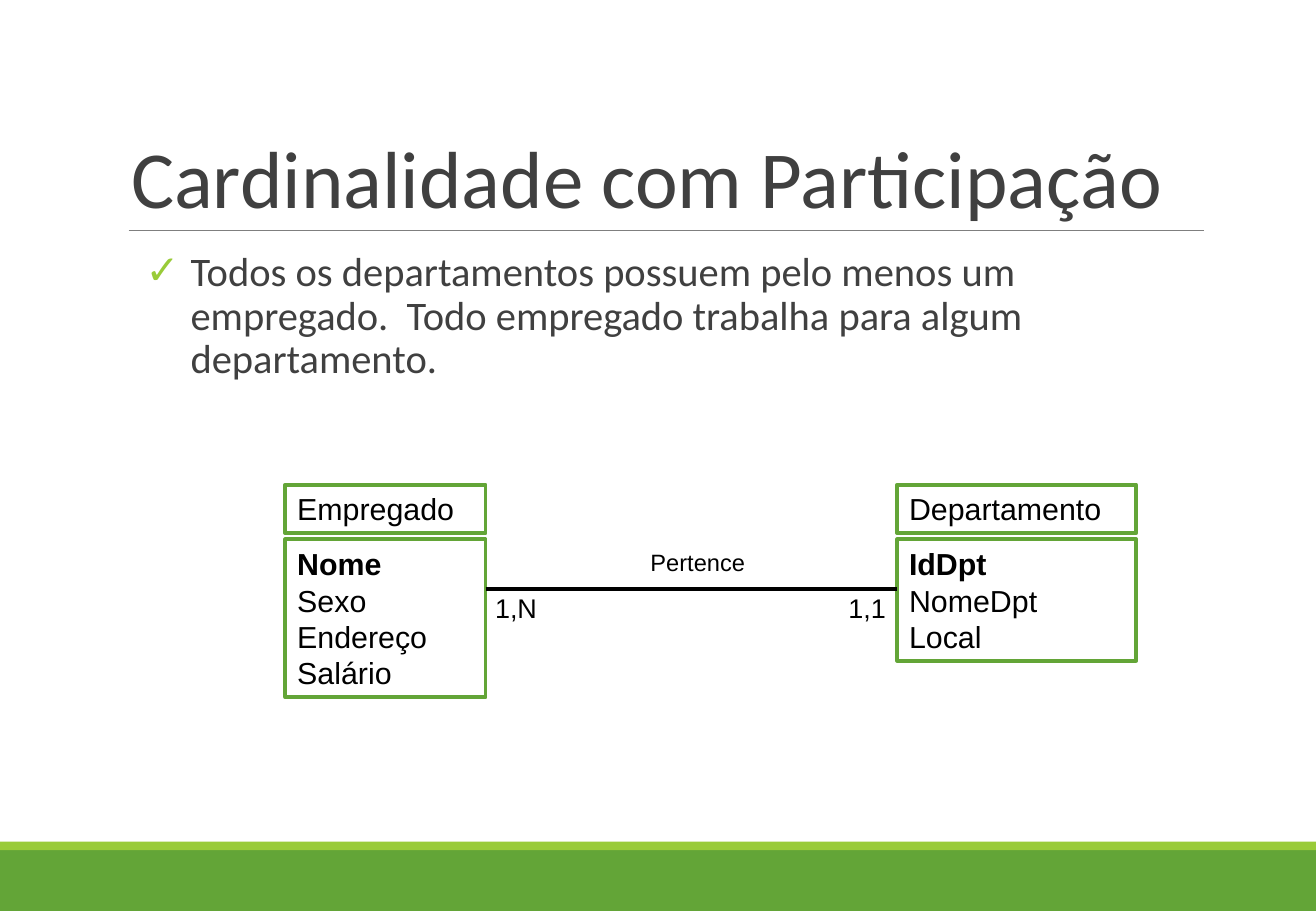
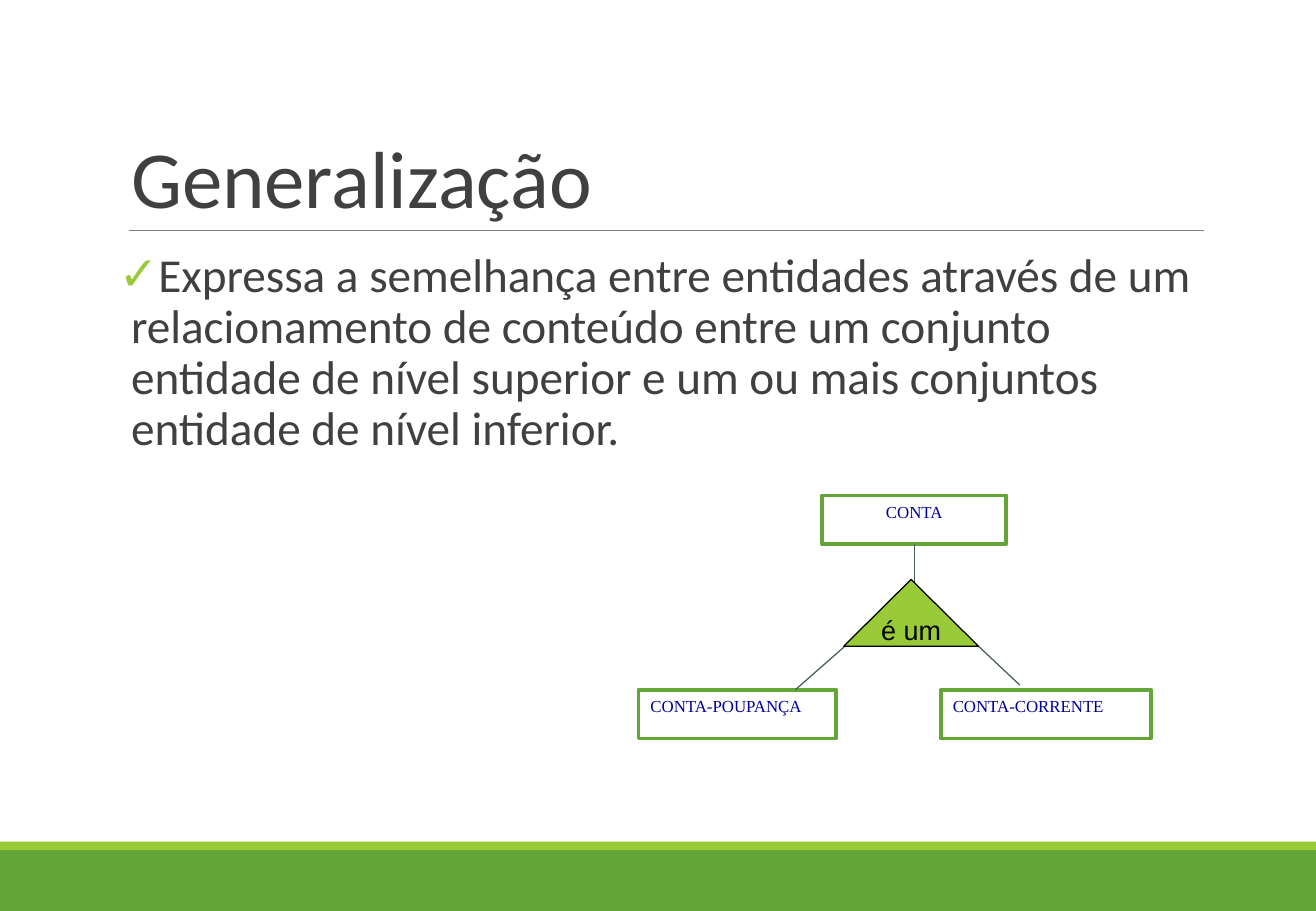
from dataclasses import dataclass

from lxml.etree import SubElement
from pptx import Presentation
from pptx.dml.color import RGBColor
from pptx.enum.shapes import MSO_CONNECTOR, MSO_SHAPE
from pptx.enum.text import MSO_ANCHOR, MSO_AUTO_SIZE, PP_ALIGN
from pptx.oxml.ns import qn
from pptx.util import Inches, Pt


@dataclass(frozen=True)
class Theme:
    green: str = "63A537"
    lime: str = "99CB38"
    ink: str = "404040"
    black: str = "000000"
    navy: str = "000099"
    slate: str = "455F51"
    grey: str = "7F7F7F"
    heading_font: str = "Calibri"
    diagram_font: str = "Arial"
    account_font: str = "Times New Roman"
    title_size: float = 48
    entity_size: float = 18
    label_size: float = 16
    relation_size: float = 14
    account_size: float = 10
    frame_line: float = 2.25
    thin_line: float = 0.75
    rule_line: float = 0.5


THEME = Theme()
SLIDE_WIDTH, SLIDE_HEIGHT = 10.84, 7.5
ROW_HEIGHT, BOX_PADDING = 0.3, 0.1
BOX_HEIGHT = ROW_HEIGHT + BOX_PADDING


def color(value):
    return RGBColor.from_string(value)


def write(frame, *lines, size, font=THEME.diagram_font, ink=THEME.black,
          align=PP_ALIGN.LEFT, anchor=MSO_ANCHOR.TOP, wrap=True,
          spacing=None, bold_lines=0):
    frame.word_wrap = wrap
    frame.auto_size = MSO_AUTO_SIZE.NONE
    frame.vertical_anchor = anchor
    for index, line in enumerate(lines):
        para = frame.add_paragraph() if index else frame.paragraphs[0]
        para.alignment = align
        para.space_before = Pt(0)
        if spacing:
            para.line_spacing = spacing
        span = para.add_run()
        span.text = line
        span.font.size = Pt(size)
        span.font.name = font
        span.font.bold = index < bold_lines
        span.font.color.rgb = color(ink)


def add_bullet(para, margin, hanging):
    properties = para._p.get_or_add_pPr()
    properties.set("marL", str(Inches(margin)))
    properties.set("indent", str(-Inches(hanging)))
    tint = SubElement(properties, qn("a:buClr"))
    SubElement(tint, qn("a:srgbClr"), val=THEME.lime)
    SubElement(properties, qn("a:buChar"), char="✓")


def place(item, left, top, width, height):
    item.left, item.top = Inches(left), Inches(top)
    item.width, item.height = Inches(width), Inches(height)


def add_shape(page, kind, left, top, width, height, fill=None, line=None,
              weight=THEME.frame_line):
    shape = page.shapes.add_shape(
        kind, Inches(left), Inches(top), Inches(width), Inches(height))
    shape.shadow.inherit = False
    if fill:
        shape.fill.solid()
        shape.fill.fore_color.rgb = color(fill)
    else:
        shape.fill.background()
    if line:
        shape.line.color.rgb = color(line)
        shape.line.width = Pt(weight)
    else:
        shape.line.fill.background()
    return shape


def add_line(page, start, end, ink, weight):
    line = page.shapes.add_connector(
        MSO_CONNECTOR.STRAIGHT, *(Inches(value) for value in (*start, *end)))
    line.line.color.rgb = color(ink)
    line.line.width = Pt(weight)
    SubElement(line._element.spPr, qn("a:effectLst"))
    return line


def add_box(page, left, top, width, *lines, **text_format):
    height = BOX_PADDING + ROW_HEIGHT * len(lines)
    box = add_shape(page, MSO_SHAPE.RECTANGLE, left, top, width, height,
                    line=THEME.green)
    write(box.text_frame, *lines, **text_format)


def add_label(page, text, left, top, width, height, size):
    label = page.shapes.add_textbox(
        Inches(left), Inches(top), Inches(width), Inches(height))
    write(label.text_frame, text, size=size, wrap=False)


def add_entity(page, name, attributes, left, width):
    add_box(page, left, 3.99, width, name, size=THEME.entity_size)
    add_box(page, left, 4.44, width, *attributes, size=THEME.entity_size,
            bold_lines=1)


def add_page(deck, title, body, size, margin, hanging, level=0):
    page = deck.slides.add_slide(deck.slide_layouts[1])
    write(page.shapes.title.text_frame, title, size=THEME.title_size,
          font=THEME.heading_font, ink=THEME.ink, anchor=MSO_ANCHOR.BOTTOM,
          spacing=0.85)
    frame = page.placeholders[1].text_frame
    frame.margin_left = frame.margin_right = 0
    para = frame.paragraphs[0]
    para.level = level
    add_bullet(para, margin, hanging)
    write(frame, body, size=size, font=THEME.heading_font, ink=THEME.ink,
          spacing=0.9)
    return page


def dress_layout(layout, page):
    place(layout.placeholders[0], 0.98, 0.31, 9.72, 1.59)
    place(layout.placeholders[1], 0.98, 2.02, 8.94, 4.4)
    decorations = (
        add_shape(page, MSO_SHAPE.RECTANGLE, 0, 7, SLIDE_WIDTH, 0.5,
                  fill=THEME.green),
        add_shape(page, MSO_SHAPE.RECTANGLE, 0, 6.93, SLIDE_WIDTH, 0.07,
                  fill=THEME.lime),
        add_line(page, (1.06, 1.9), (9.92, 1.9), THEME.grey, THEME.rule_line),
    )
    for item in decorations:
        layout.shapes._spTree.append(item._element)


def build_cardinality(deck):
    page = add_page(
        deck, "Cardinalidade com Participação",
        "Todos os departamentos possuem pelo menos um empregado.  "
        "Todo empregado trabalha para algum departamento.",
        size=24, margin=0.59, hanging=0.37, level=1)
    add_entity(page, "Departamento", ("IdDpt", "NomeDpt", "Local"), 7.39, 1.97)
    add_entity(page, "Empregado", ("Nome", "Sexo", "Endereço", "Salário"),
               2.35, 1.65)
    add_line(page, (4, 4.85), (7.39, 4.85), THEME.black, THEME.frame_line)
    add_label(page, "Pertence", 5.26, 4.46, 0.98, 0.34, THEME.relation_size)
    add_label(page, "1,1", 6.89, 4.82, 0.51, 0.37, THEME.label_size)
    add_label(page, "1,N", 3.98, 4.82, 0.54, 0.37, THEME.label_size)
    return page


def build_generalization(deck):
    page = add_page(
        deck, "Generalização",
        "Expressa a semelhança entre entidades através de um relacionamento "
        "de conteúdo entre um conjunto entidade de nível superior e um ou "
        "mais conjuntos entidade de nível inferior.",
        size=28, margin=0.1, hanging=0.1)
    accounts = (
        ("CONTA", 6.77, 4.08, 1.52, PP_ALIGN.CENTER),
        ("CONTA-POUPANÇA", 5.26, 5.68, 1.63, PP_ALIGN.LEFT),
        ("CONTA-CORRENTE", 7.75, 5.68, 1.73, PP_ALIGN.LEFT),
    )
    for name, left, top, width, align in accounts:
        add_box(page, left, top, width, name, size=THEME.account_size,
                font=THEME.account_font, ink=THEME.navy, align=align)
    branches = (
        ((7.53, 4.08 + BOX_HEIGHT), (7.53, 4.88)),
        ((7.04, 5.25), (6.55, 5.68)),
        ((8.06, 5.32), (8.4, 5.64)),
    )
    for start, end in branches:
        add_line(page, start, end, THEME.slate, THEME.thin_line)
    triangle = add_shape(page, MSO_SHAPE.ISOSCELES_TRIANGLE, 6.95, 4.77, 1.11,
                         0.55, THEME.lime, THEME.black, THEME.thin_line)
    write(triangle.text_frame, "é um", size=THEME.label_size, wrap=False,
          align=PP_ALIGN.CENTER, anchor=MSO_ANCHOR.MIDDLE)


def main():
    deck = Presentation()
    deck.slide_width = Inches(SLIDE_WIDTH)
    deck.slide_height = Inches(SLIDE_HEIGHT)
    first_page = build_cardinality(deck)
    dress_layout(deck.slide_layouts[1], first_page)
    build_generalization(deck)
    deck.save("out.pptx")


if __name__ == "__main__":
    main()
